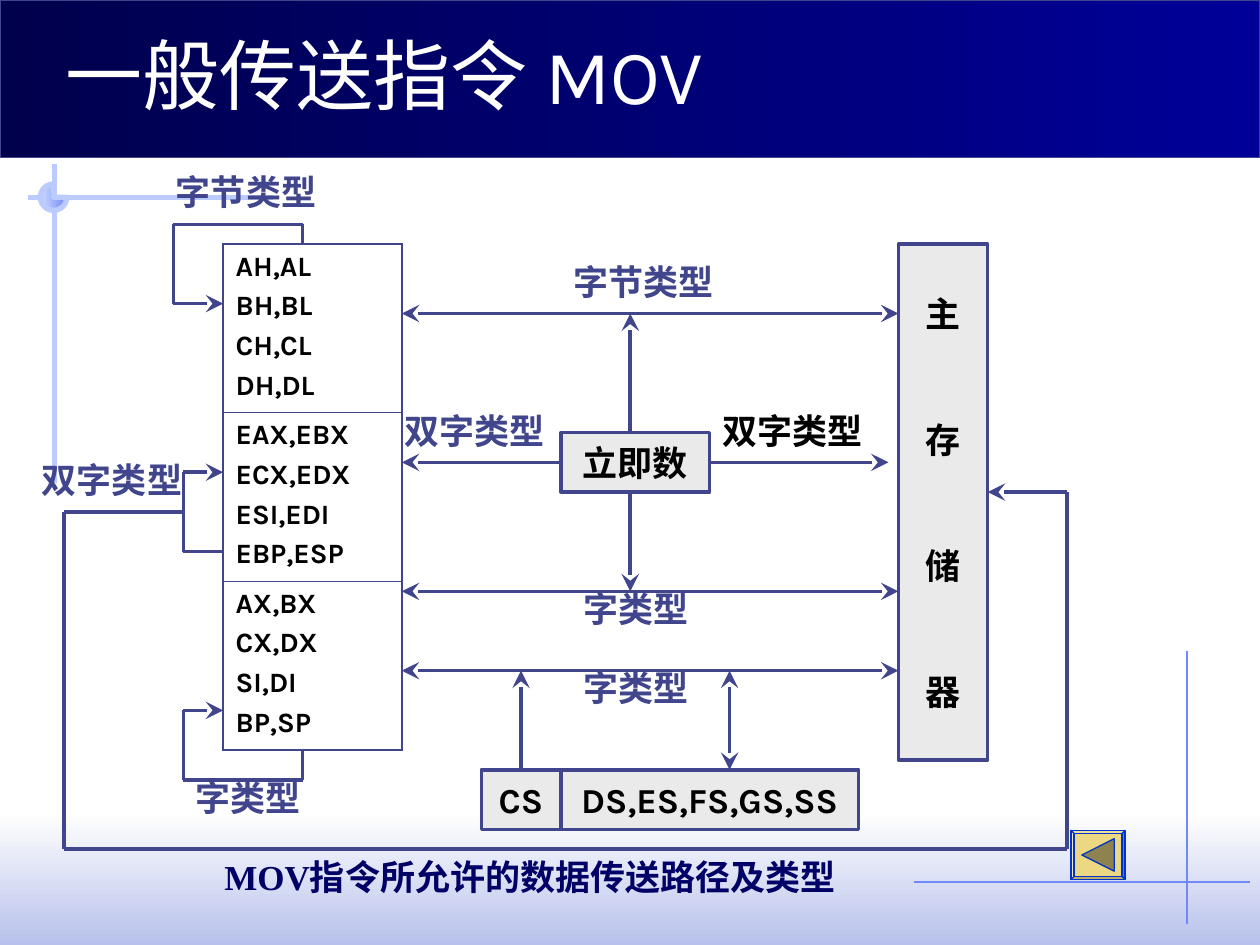
import pptx
import pptx.util
import pptx.dml.color
import pptx.enum.shapes
import pptx.enum.text
import pptx.oxml
import pptx.oxml.ns
import lxml.etree

Inches, Pt = pptx.util.Inches, pptx.util.Pt
Kind = pptx.enum.shapes.MSO_SHAPE
Align, Anchor = pptx.enum.text.PP_ALIGN, pptx.enum.text.MSO_ANCHOR
qn = pptx.oxml.ns.qn
INK, BLACK, GREY, NAVY = "40458C", "000000", "EAEAEA", "000066"
PALE, BLUE = "BBCBFD", "6F89F7"
WIDTH, HEIGHT = 10, 7.5


def colour(code):
    return pptx.dml.color.RGBColor.from_string(code)


def lengths(box):
    return [Inches(value) for value in box]


def shares(left, top, width, height):
    """Box in inches from shares of the slide."""
    return left * WIDTH, top * HEIGHT, width * WIDTH, height * HEIGHT


def format_text(frame, size, code, font="Karla", bold=True):
    for para in frame.paragraphs:
        for span in para.runs:
            span.font.size, span.font.bold = Pt(size), bold
            span.font.name, span.font.color.rgb = font, colour(code)


def add_block(page, box, fill, line=None, weight=2, kind=Kind.RECTANGLE, angle=0):
    """Preset shape with one fill colour, or a gradient from a pair."""
    block = page.shapes.add_shape(kind, *lengths(box))
    block.shadow.inherit = False
    if isinstance(fill, tuple):
        block.fill.gradient()
        block.fill.gradient_angle = angle
        for stop, code in zip(block.fill.gradient_stops, fill):
            stop.color.rgb = colour(code)
    else:
        block.fill.solid()
        block.fill.fore_color.rgb = colour(fill)
    if line:
        block.line.color.rgb, block.line.width = colour(line), Pt(weight)
    else:
        block.line.fill.background()
    return block


def add_line(page, start, end, code=INK, weight=2, arrows=()):
    line = page.shapes.add_connector(
        pptx.enum.shapes.MSO_CONNECTOR.STRAIGHT, *lengths(start + end))
    line.line.color.rgb, line.line.width = colour(code), Pt(weight)
    for arrow in arrows:
        lxml.etree.SubElement(line.line._get_or_add_ln(), qn("a:" + arrow),
                              type="stealth", w="lg", len="lg")
    lxml.etree.SubElement(line._element.spPr, qn("a:effectLst"))


class Grid:
    """Square-celled grid laid over a box."""

    def __init__(self, box, columns, rows):
        self.left, self.top = box[:2]
        self.wide, self.high = box[2] / columns, box[3] / rows

    def point(self, column, row):
        return self.left + column * self.wide, self.top + row * self.high

    def box(self, column, row, columns, rows):
        return self.point(column, row) + (columns * self.wide, rows * self.high)


def draw_backdrop(page):
    add_block(page, shares(0, 0.86, 1, 0.14), ("FFFFFF", "B7C1EB"), angle=270)
    # Crossing rules, corner and hub
    for start, end, code, weight in (
            ((9.42, 5.17), (9.42, 7.33), BLUE, 0.75), ((7.25, 7), (9.92, 7), BLUE, 0.75),
            ((0.22, 1.57), (2.17, 1.57), PALE, 3), ((0.43, 1.3), (0.43, 3.83), PALE, 3)):
        add_line(page, start, end, code, weight)
    add_block(page, (0.32, 1.46, 0.21, 0.21), ("CFDBFD", BLUE), PALE, 3, Kind.PIE)
    # Title band
    add_block(page, shares(0, 0, 1, 1 / 6), ("00004C", "000099"), INK, 0.75)


def fill_placeholder(holder, box, text, size, code, font, bold, anchor):
    holder.left, holder.top, holder.width, holder.height = lengths(box)
    frame = holder.text_frame
    frame.text, frame.vertical_anchor = text, anchor
    frame.auto_size = pptx.enum.text.MSO_AUTO_SIZE.NONE
    para = frame.paragraphs[0]
    para.alignment = Align.LEFT
    props = para._p.get_or_add_pPr()
    props.set("marL", "0")
    props.set("indent", "0")
    lxml.etree.SubElement(props, qn("a:buNone"))
    format_text(frame, size, code, font, bold)
    holder._element.getparent().append(holder._element)
    return frame


def add_registers(page, box, groups):
    table = page.shapes.add_table(len(groups), 1, *lengths(box)).table
    table.first_row = table.horz_banding = False
    for index, group in enumerate(groups):
        cell = table.cell(index, 0)
        cell.fill.background()
        cell.text_frame.text = "\n".join(group.split())
        for para in cell.text_frame.paragraphs:
            para.space_before = Pt(4)
        format_text(cell.text_frame, 16, BLACK)
        inner = {"T": index > 0, "B": index < len(groups) - 1}
        for place, side in enumerate("LRTB"):
            weight = Pt(0.45 if inner.get(side) else 1.08)
            border = pptx.oxml.parse_xml(
                f'<a:ln{side} {pptx.oxml.ns.nsdecls("a")} w="{weight}"><a:solidFill>'
                f'<a:srgbClr val="{INK}"/></a:solidFill></a:ln{side}>')
            cell._tc.get_or_add_tcPr().insert(place, border)


def add_unit(page, box, text, gap=0):
    frame = add_block(page, box, GREY, INK).text_frame
    frame.text, frame.word_wrap, frame.vertical_anchor = text, False, Anchor.MIDDLE
    for index, para in enumerate(frame.paragraphs):
        para.alignment = Align.CENTER
        para.space_before = Pt(gap if index else 0)
    format_text(frame, 20, BLACK)


def add_label(page, box, text, code):
    frame = page.shapes.add_textbox(*lengths(box)).text_frame
    frame.text, frame.word_wrap, frame.margin_right = text, True, 0
    format_text(frame, 20, code)


def draw_diagram(page, box):
    grid = Grid(box, 101, 63)
    # Registers, memory, immediate value and segment registers
    add_registers(page, grid.box(16, 2, 18, 51), (
        "AH,AL BH,BL CH,CL DH,DL", "EAX,EBX ECX,EDX ESI,EDI EBP,ESP",
        "AX,BX CX,DX SI,DI BP,SP"))
    add_unit(page, grid.box(84, 2, 9, 52), "主\n存\n储\n器", 48)
    add_unit(page, grid.box(50, 21, 15, 6), "立即数")
    add_unit(page, grid.box(42, 55, 8, 6), "CS")
    add_unit(page, grid.box(50, 55, 30, 6), "DS,ES,FS,GS,SS")
    # Transfer paths: corner points, arrowheads on the last leg
    both, end = ("headEnd", "tailEnd"), ("tailEnd",)
    paths = [([(34, row), (84, row)], both) for row in (9, 37, 45)]
    paths += [
        ([(65, 24), (83, 24)], end), ([(50, 24), (34, 24)], end),
        ([(57, 21), (57, 9)], end), ([(57, 27), (57, 37)], end),
        ([(46, 55), (46, 45)], end), ([(67, 55), (67, 45)], both),
        ([(24, 2), (24, 0), (11, 0), (11, 8), (16, 8)], end),
        ([(16, 33), (12, 33), (12, 25), (16, 25)], end),
        ([(24, 53), (24, 56), (12, 56), (12, 49), (16, 49)], end),
        ([(12, 29), (0, 29), (0, 63), (101, 63), (101, 27), (93, 27)], end)]
    for points, arrows in paths:
        legs = list(zip(points, points[1:]))
        for start, stop in legs:
            add_line(page, grid.point(*start), grid.point(*stop),
                     arrows=arrows if (start, stop) == legs[-1] else ())
    # Data type labels
    for column, row, text, code in (
            (65, 18, "双字类型", BLACK), (33, 18, "双字类型", INK),
            (50, 3, "字节类型", INK), (51, 36, "字类型", INK), (51, 44, "字类型", INK),
            (10, -6, "字节类型", INK), (-3.5, 23, "双字类型", INK), (12, 55, "字类型", INK)):
        add_label(page, grid.box(column, row, 13 if len(text) == 3 else 16.6, 5.6), text, code)


def draw_back_button(page, box):
    grid = Grid(box, 10, 10)
    frame = add_block(page, box, "ECD882", "0033CC", 0.75, Kind.BEVEL)
    frame.adjustments[0] = 0.06
    arrow = add_block(page, grid.box(2, 1.7, 6, 6.6), "8E824E", "0033CC", 0.75,
                      Kind.ISOSCELES_TRIANGLE)
    arrow.rotation = 270


deck = pptx.Presentation()
deck.slide_width, deck.slide_height = Inches(WIDTH), Inches(HEIGHT)
page = deck.slides.add_slide(deck.slide_layouts[1])
draw_backdrop(page)
fill_placeholder(page.shapes.title, (0.42, 0.08, 8.5, 0.92), "一般传送指令 MOV",
                 44, "FFFFFF", "Karla", False, Anchor.BOTTOM)
caption = fill_placeholder(page.placeholders[1], (1.61, 6.74, 5.51, 0.51),
                           "MOV指令所允许的数据传送路径及类型", 20, NAVY,
                           "Times New Roman", True, Anchor.TOP)
caption.margin_left = Inches(0.17)
caption.paragraphs[0].space_before = Pt(5)
draw_diagram(page, (0.51, 1.78, 7.96, 4.96))
draw_back_button(page, (8.5, 6.59, 0.43, 0.39))
deck.save("out.pptx")
